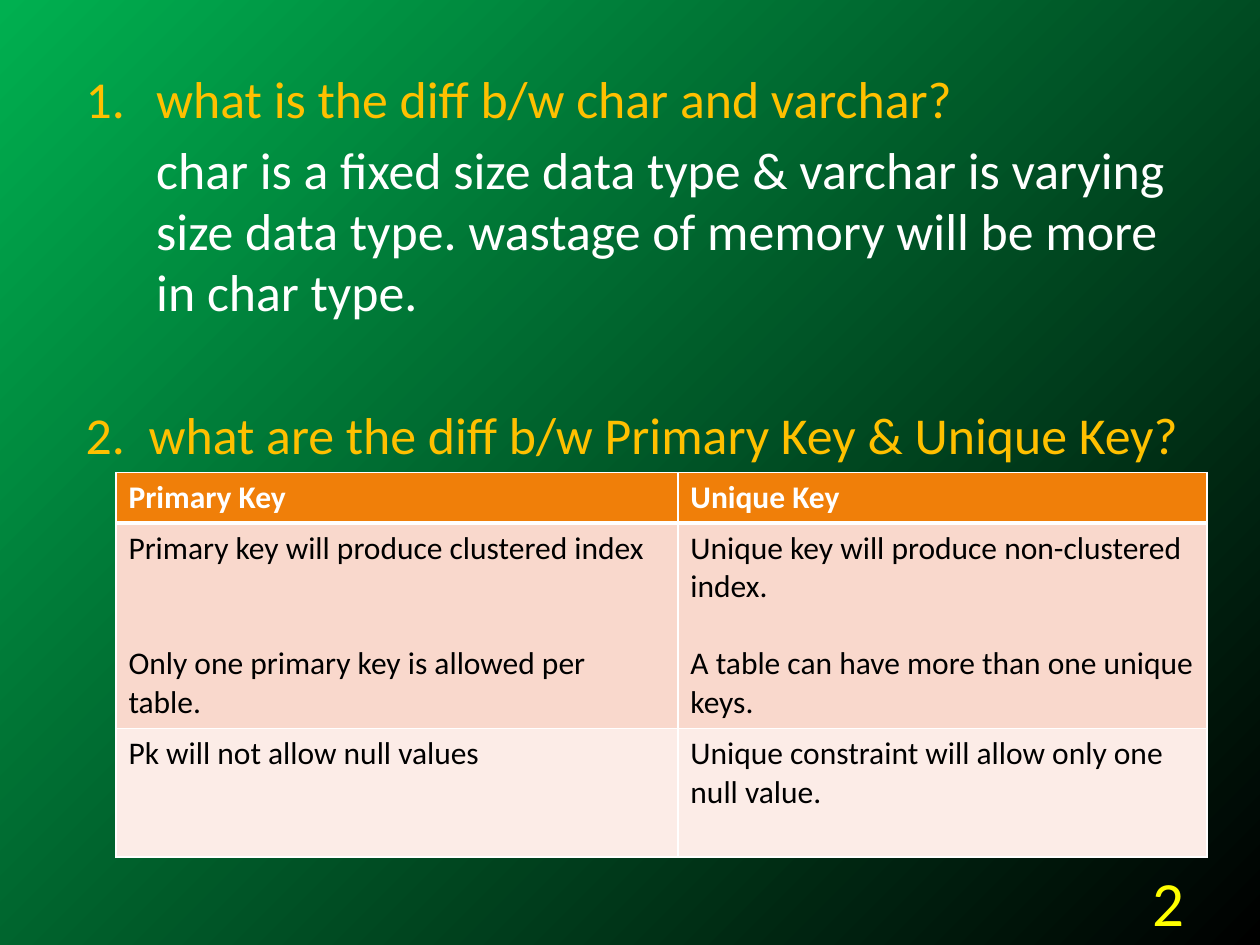
from lxml import etree
from pptx import Presentation
from pptx import util as u
from pptx.dml.color import RGBColor
from pptx.enum import text
from pptx.oxml.ns import qn

THEME = {
    "font": "Calibri",
    "green": "00B050", "black": "000000", "white": "FFFFFF",
    "gold": "FFC000", "yellow": "FFFF00", "orange": "F07F09",
    "bands": ["F9D8CC", "FCECE7"],
    "body": 29.6, "cell": 18, "number": 36,
}


def set_font(para, size, color, bold=False):
    para.font.name = THEME["font"]
    para.font.size = u.Pt(size)
    para.font.bold = bold
    para.font.color.rgb = RGBColor.from_string(color)


def add_borders(cell, bottom):
    props = cell._tc.get_or_add_tcPr()
    for place, (side, width) in enumerate(
            [("lnL", 1), ("lnR", 1), ("lnT", 1), ("lnB", bottom)]):
        line = etree.Element(qn("a:" + side), w=str(u.Pt(width)))
        fill = etree.SubElement(line, qn("a:solidFill"))
        etree.SubElement(fill, qn("a:srgbClr"), val=THEME["white"])
        props.insert(place, line)


deck = Presentation()
deck.slide_width, deck.slide_height = u.Inches(10), u.Inches(7.5)
page = deck.slides.add_slide(deck.slide_layouts[1])
title = page.shapes.title
title.element.getparent().remove(title.element)

backdrop = page.background.fill
backdrop.gradient()
backdrop.gradient_angle = 315
for stop, color in zip(backdrop.gradient_stops, ("green", "black")):
    stop.color.rgb = RGBColor.from_string(THEME[color])

body = page.placeholders[1]
body.left, body.top = u.Inches(0.58), u.Inches(0.5)
body.width, body.height = u.Inches(8.92), u.Inches(6.2)
frame = body.text_frame
frame.auto_size = text.MSO_AUTO_SIZE.NONE
questions = [
    ("what is the diff b/w char and varchar?", "gold", 1, 0.56, 5.9),
    ("char is a fixed size data type & varchar is varying size data type. "
     "wastage of memory will be more in char type.", "white", None, 0.56, 5.9),
    ("what are the diff b/w Primary Key & Unique Key?", "gold", 2, 0.5, 47.4),
]
for index, (words, color, number, indent, gap) in enumerate(questions):
    para = frame.paragraphs[0] if index == 0 else frame.add_paragraph()
    para.text = words
    para.space_before = u.Pt(gap)
    para.line_spacing = 0.98
    set_font(para, THEME["body"], THEME[color])
    props = para._p.get_or_add_pPr()
    props.set("marL", str(u.Inches(indent)))
    props.set("indent", str(-u.Inches(indent) if number else 0))
    if number:
        bullet = etree.Element(qn("a:buAutoNum"), type="arabicPeriod", startAt=str(number))
    else:
        bullet = etree.Element(qn("a:buNone"))
    props.find(qn("a:defRPr")).addprevious(bullet)

box = page.shapes.add_textbox(u.Inches(7.17), u.Inches(6.95), u.Inches(2.33), u.Inches(0.4))
box.text_frame.word_wrap = True
box.text_frame.vertical_anchor = text.MSO_ANCHOR.MIDDLE
para = box.text_frame.paragraphs[0]
para.text = "2"
para.alignment = text.PP_ALIGN.RIGHT
set_font(para, THEME["number"], THEME["yellow"])

rows = [
    [["Primary Key"], ["Unique Key"]],
    [["Primary key will produce clustered index", "Only one primary key is allowed per table."],
     ["Unique key will produce non-clustered index.", "A table can have more than one unique keys."]],
    [["Pk will not allow null values"], ["Unique constraint will allow only one null value."]],
]
columns, heights = [4.46, 4.2], [0.4, 1.63, 1.02]
blank_lines = [2, 1]
table = page.shapes.add_table(len(rows), len(columns), u.Inches(0.92), u.Inches(3.75),
                              u.Inches(sum(columns)), u.Inches(sum(heights))).table
for column, width in zip(table.columns, columns):
    column.width = u.Inches(width)
for r, (row, height) in enumerate(zip(rows, heights)):
    table.rows[r].height = u.Inches(height)
    header = r == 0
    for c, lines in enumerate(row):
        cell = table.cell(r, c)
        cell.fill.solid()
        cell.fill.fore_color.rgb = RGBColor.from_string(
            THEME["orange"] if header else THEME["bands"][r - 1])
        add_borders(cell, 3 if header else 1)
        for index, words in enumerate(lines):
            para = cell.text_frame.paragraphs[0] if index == 0 else cell.text_frame.add_paragraph()
            para.text = words
            para.space_before = u.Pt(index * blank_lines[c] * 22)
            set_font(para, THEME["cell"], THEME["white" if header else "black"], header)

deck.save("out.pptx")
